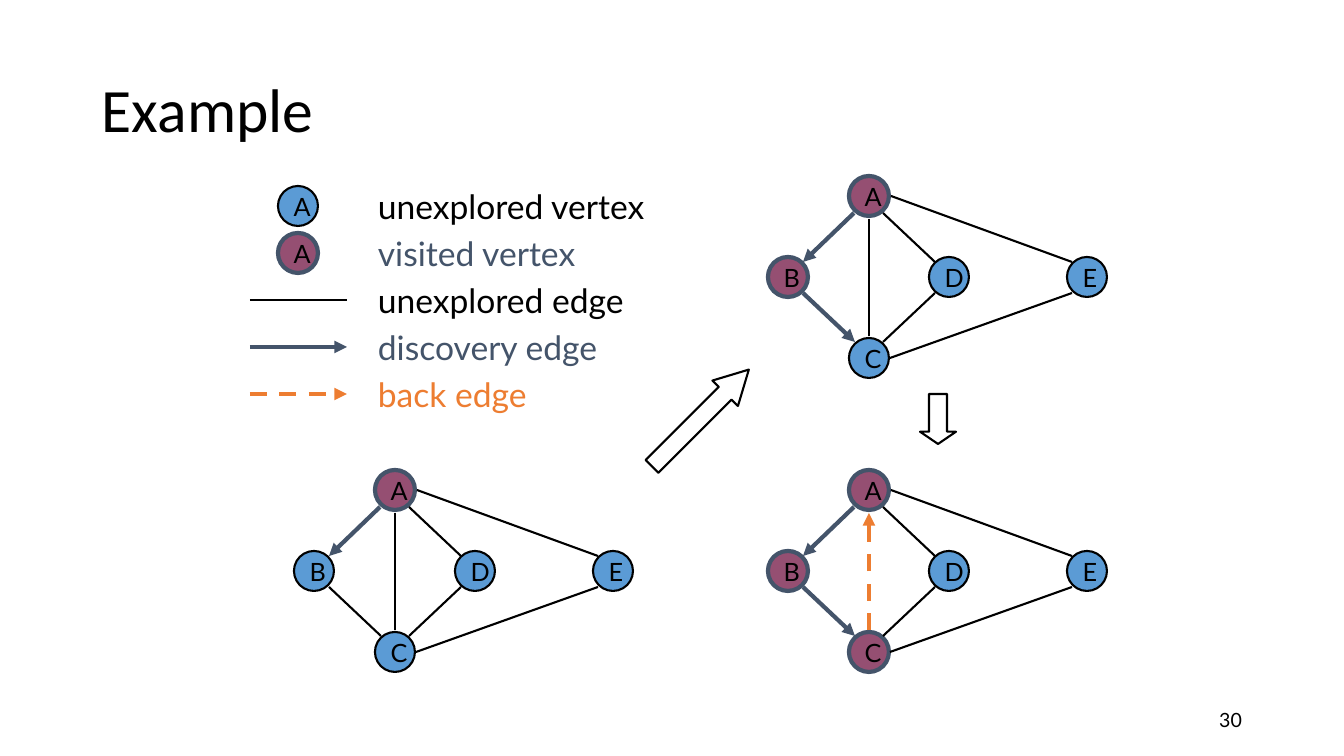
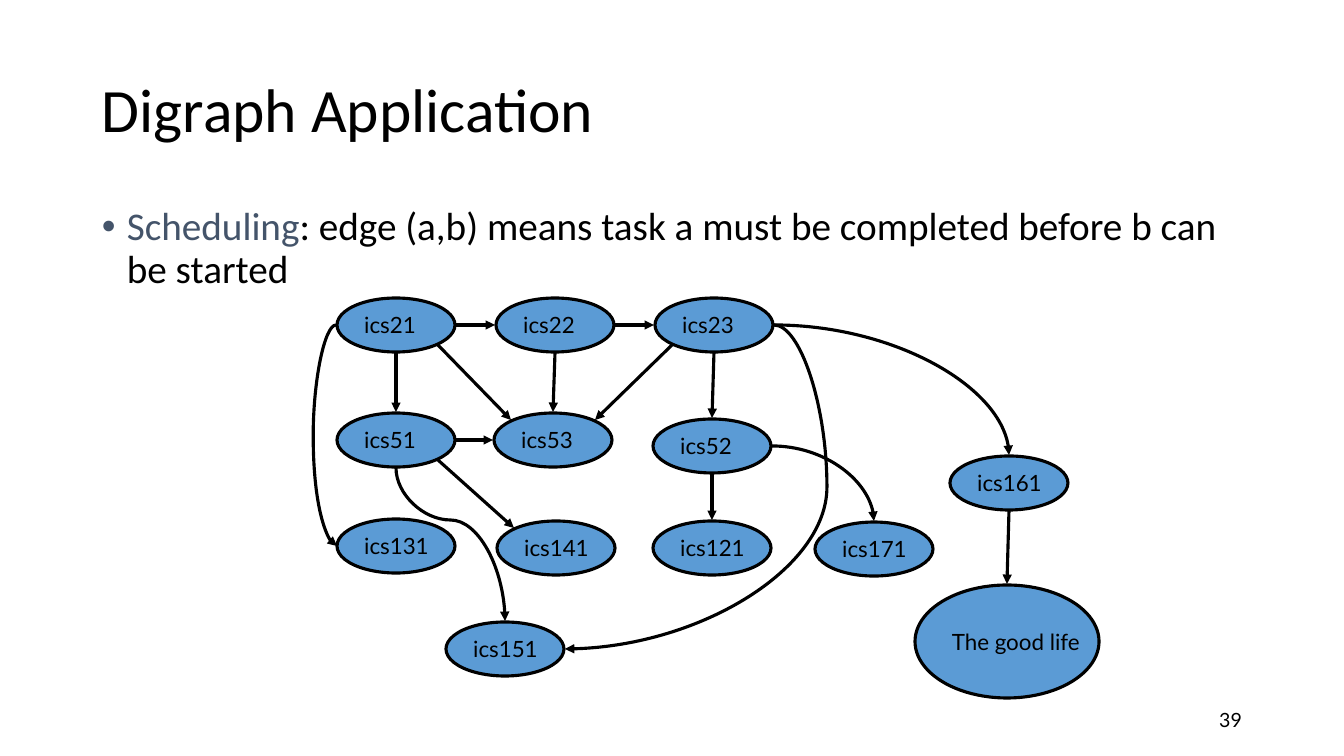
"""Build two slides on graph traversal and digraph scheduling."""
from dataclasses import dataclass

from lxml import etree
from pptx import Presentation
from pptx import util as u
from pptx.dml.color import RGBColor
from pptx.enum import dml, shapes, text
from pptx.oxml.ns import qn

SCALE = 914400 / 100.8


@dataclass(frozen=True)
class Theme:
    """Colours, fonts and sizes shared by the slides."""

    black: str = "000000"
    blue: str = "5B9BD5"
    plum: str = "954F72"
    slate: str = "44546A"
    orange: str = "ED7D31"
    head_font: str = "Calibri"
    label_font: str = "Lato"
    title: int = 44
    body: int = 28
    legend: int = 24
    vertex: int = 18
    task: int = 16
    number: int = 14
    thin: float = 1.5
    medium: float = 2.25
    thick: float = 3


T = Theme()
UNEXPLORED = (T.black, T.thin)
DISCOVERY = (T.slate, T.thick)
BACK = (T.orange, T.thick)
TASK = (T.black, T.medium)

VERTEX = 40
VERTICES = {"D": (161, 81), "B": (0, 81), "A": (81, 0), "C": (81, 162), "E": (299, 81)}
EDGES = {
    "AB": (86, 37, 35, 86),
    "BC": (35, 117, 87, 166),
    "CD": (115, 166, 167, 117),
    "AD": (115, 37, 167, 86),
    "AC": (101, 43, 101, 160),
    "CE": (122, 182, 304, 117),
    "AE": (123, 20, 304, 86),
}

TASK_SIZE = (118, 54)
TASKS = {
    "The good life": (578, 287, 184, 113),
    "ics141": (160, 223),
    "ics131": (0, 221),
    "ics121": (316, 223),
    "ics53": (157, 115),
    "ics52": (316, 121),
    "ics51": (0, 115),
    "ics23": (318, 0),
    "ics22": (159, 0),
    "ics21": (0, 0),
    "ics161": (613, 158),
    "ics151": (109, 324),
    "ics171": (478, 224),
}
ARROWS = [
    ("ics21", "E", "ics22", "W"),
    ("ics22", "E", "ics23", "W"),
    ("ics21", "S", "ics51", "N"),
    ("ics23", "S", "ics52", "N"),
    ("ics51", "E", "ics53", "W"),
    ("ics21", "SE", "ics53", "NW"),
    ("ics22", "S", "ics53", "N"),
    ("ics23", "SW", "ics53", "NE"),
    ("ics52", "S", "ics121", "N"),
    ("ics51", "SE", "ics141", "NW"),
    ("ics161", "S", "The good life", "N"),
]
QUARTERS = [("ics23", "E", "ics161", "N"), ("ics52", "E", "ics171", "N")]
BULGES = [("ics21", "W", "ics131", "W", -23), ("ics23", "E", "ics151", "E", 53)]


def px(*values):
    """Turn pixel lengths into EMU."""
    return [u.Emu(round(v * SCALE)) for v in values]


def style(r, size, color, font):
    """Format one run."""
    r.font.size = u.Pt(size)
    r.font.name = font
    r.font.color.rgb = RGBColor.from_string(color)


def textbox(s, box, words, size, color=T.black, font=T.label_font,
            anchor=text.MSO_ANCHOR.TOP):
    """Add a wrapped text box and return its paragraph."""
    tf = s.shapes.add_textbox(*px(*box)).text_frame
    tf.word_wrap = True
    tf.vertical_anchor = anchor
    p = tf.paragraphs[0]
    p.text = words
    style(p.runs[0], size, color, font)
    return p


def outline(sp, color, width):
    """Set the line of a shape or connector."""
    sp.line.color.rgb = RGBColor.from_string(color)
    sp.line.width = u.Pt(width)


def ellipse(parts, box, words, size, fill, line):
    """Add a filled ellipse with a left-aligned label."""
    sp = parts.add_shape(shapes.MSO_SHAPE.OVAL, *px(*box))
    sp.shadow.inherit = False
    sp.fill.solid()
    sp.fill.fore_color.rgb = RGBColor.from_string(fill)
    outline(sp, *line)
    tf = sp.text_frame
    tf.word_wrap = False
    tf.vertical_anchor = text.MSO_ANCHOR.MIDDLE
    p = tf.paragraphs[0]
    p.text = words
    p.alignment = text.PP_ALIGN.LEFT
    style(p.runs[0], size, T.black, T.label_font)


def connector(parts, ends, line, arrow=True, kind=shapes.MSO_CONNECTOR.STRAIGHT):
    """Add a line, dashed for back edges, with an optional arrowhead."""
    c = parts.add_connector(kind, *px(*ends))
    outline(c, *line)
    if line == BACK:
        c.line.dash_style = dml.MSO_LINE.DASH
    if arrow:
        etree.SubElement(c.line._get_or_add_ln(), qn("a:tailEnd"), type="triangle")
    etree.SubElement(c._element.spPr, qn("a:effectLst"))
    return c


def curve(parts, ends, preset="curvedConnector3", bend=None, turn=0):
    """Add a curved arrow with the given preset, bend and quarter turns."""
    c = connector(parts, ends, TASK, kind=shapes.MSO_CONNECTOR.CURVE)
    spPr = c._element.spPr
    geom = spPr.find(qn("a:prstGeom"))
    geom.set("prst", preset)
    if bend is not None:
        etree.SubElement(geom.find(qn("a:avLst")), qn("a:gd"), name="adj1",
                         fmla=f"val {round(bend * 100000)}")
    if turn:
        spPr.find(qn("a:xfrm")).set("rot", str(turn * 5400000))


def frame(prs, title, number):
    """Add a blank slide with its title and page number."""
    s = prs.slides.add_slide(prs.slide_layouts[6])
    middle = text.MSO_ANCHOR.MIDDLE
    p = textbox(s, (92, 40, 1160, 146), title, T.title, font=T.head_font, anchor=middle)
    p.line_spacing = 0.9
    p = textbox(s, (950, 700, 302, 40), str(number), T.number, anchor=middle)
    p.alignment = text.PP_ALIGN.RIGHT
    return s


def vertex(parts, x, y, name, visited):
    """Add one vertex of a graph."""
    fill, line = (T.plum, DISCOVERY) if visited else (T.blue, UNEXPLORED)
    ellipse(parts, (x, y, VERTEX, VERTEX), name, T.vertex, fill, line)


def graph(s, x, y, visited, discovery, back=()):
    """Add one traversal state with its top left corner at x, y."""
    parts = s.shapes.add_group_shape().shapes
    for name, (dx, dy) in VERTICES.items():
        vertex(parts, x + dx, y + dy, name, name in visited)
    for name, (x1, y1, x2, y2) in EDGES.items():
        ends = (x + x1, y + y1, x + x2, y + y2)
        if name in discovery:
            connector(parts, ends, DISCOVERY)
        elif name in back:
            connector(parts, ends[2:] + ends[:2], BACK)
        else:
            connector(parts, ends, UNEXPLORED, arrow=False)


def legend(s, x, y):
    """Add the key to vertices and edges."""
    rows = [
        ("unexplored vertex", T.black, None),
        ("visited vertex", T.slate, None),
        ("unexplored edge", T.black, UNEXPLORED),
        ("discovery edge", T.slate, DISCOVERY),
        ("back edge", T.orange, BACK),
    ]
    for i, (words, color, line) in enumerate(rows):
        top = y + 47 * i
        textbox(s, (x + 118, top, 300, 50), words, T.legend, color)
        if line:
            ends = (x, top + 25, x + 97, top + 25)
            connector(s.shapes, ends, line, arrow=line != UNEXPLORED)
        else:
            vertex(s.shapes, x + 28, top + 5, "A", color == T.slate)


def block_arrow(s, box, rotation, head):
    """Add an unfilled block arrow between two states."""
    sp = s.shapes.add_shape(shapes.MSO_SHAPE.RIGHT_ARROW, *px(*box))
    sp.shadow.inherit = False
    sp.fill.background()
    outline(sp, *UNEXPLORED)
    sp.adjustments[1] = head
    sp.rotation = rotation


def port(x, y, name, side, gap=1):
    """Return the point just outside a task on a compass side."""
    left, top, w, h = (TASKS[name] + TASK_SIZE)[:4]
    dx = ("E" in side) - ("W" in side)
    dy = ("S" in side) - ("N" in side)
    k = 0.7 if dx and dy else 1
    return (round(x + left + w / 2 + k * dx * (w / 2 + gap)),
            round(y + top + h / 2 + k * dy * (h / 2 + gap)))


def schedule(s, x, y):
    """Add the course digraph with its top left corner at x, y."""
    def ends(a, out, b, into):
        """Return both end points of an arrow."""
        return port(x, y, a, out) + port(x, y, b, into)

    for name, place in TASKS.items():
        left, top, w, h = (place + TASK_SIZE)[:4]
        ellipse(s.shapes, (x + left, y + top, w, h), name, T.task, T.blue, TASK)
    for arrow in ARROWS:
        connector(s.shapes, ends(*arrow), TASK)
    for arrow in QUARTERS:
        curve(s.shapes, ends(*arrow), "curvedConnector2")
    for *arrow, bulge in BULGES:
        x1, y1, x2, y2 = ends(*arrow)
        x2 = x2 if x2 != x1 else x1 + 1
        curve(s.shapes, (x1, y1, x2, y2), bend=bulge / (x2 - x1))
    x1, y1, x2, y2 = ends("ics51", "S", "ics151", "N")
    cx, cy, w, h = (x1 + x2) / 2, (y1 + y2) / 2, y2 - y1, x2 - x1
    turned = (cx + w / 2, cy - h / 2, cx - w / 2, cy + h / 2)
    curve(s.shapes, turned, bend=0.34, turn=3)


def bullet(s, box, term, words):
    """Add a bulleted statement that opens with a coloured term."""
    p = textbox(s, box, term, T.body, T.slate, T.head_font)
    pPr = p._p.get_or_add_pPr()
    indent = px(25)[0]
    pPr.set("marL", str(indent))
    pPr.set("indent", str(-indent))
    p.line_spacing = 0.9
    etree.SubElement(pPr, qn("a:buFont"), typeface="Arial")
    etree.SubElement(pPr, qn("a:buChar"), char="•")
    r = p.add_run()
    r.text = words
    style(r, T.body, T.black, T.head_font)


def example_slide(prs):
    """Build the traversal example."""
    s = frame(prs, "Example", 30)
    graph(s, 294, 470, "A", ["AB"])
    graph(s, 768, 176, "AB", ["AB", "BC"])
    graph(s, 768, 470, "ABC", ["AB", "BC"], ["AC"])
    legend(s, 250, 181)
    block_arrow(s, (913, 401, 50, 36), 90, 0.34)
    block_arrow(s, (632, 400, 137, 36), 315, 0.93)


def digraph_slide(prs):
    """Build the scheduling digraph."""
    s = frame(prs, "Digraph Application", 39)
    bullet(s, (92, 202, 1160, 480), "Scheduling",
           ": edge (a,b) means task a must be completed before b can be started")
    schedule(s, 337, 298)


def main():
    """Build and save the presentation."""
    prs = Presentation()
    prs.slide_width, prs.slide_height = px(1344, 756)
    example_slide(prs)
    digraph_slide(prs)
    prs.save("out.pptx")


if __name__ == "__main__":
    main()
